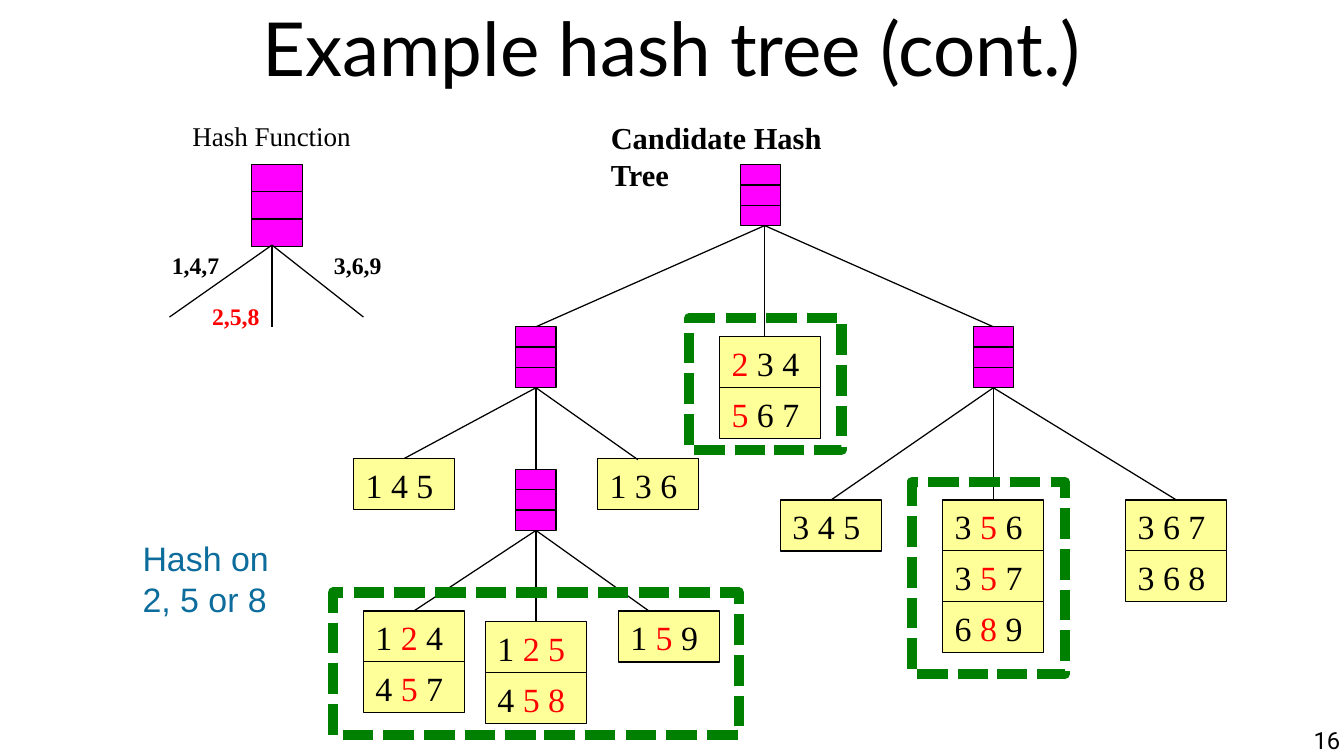
from dataclasses import dataclass

from lxml import etree
from pptx import Presentation
from pptx.dml.color import RGBColor
from pptx.enum import dml, shapes, text
from pptx.oxml.ns import qn
from pptx.util import Inches, Pt


@dataclass(frozen=True)
class Theme:
    ink: str = "000000"
    hot: str = "FF0000"
    node: str = "FF00FF"
    leaf: str = "FFFF99"
    frame: str = "008000"
    note: str = "0C6D9C"
    serif: str = "Times New Roman"
    head: int = 44
    big: int = 20
    sub: int = 18
    mid: int = 16
    small: int = 14
    thin: float = 0.75
    thick: float = 6


@dataclass(frozen=True)
class Box:
    x: float
    y: float
    w: float = 0.33
    h: float = 0.5


@dataclass(frozen=True)
class Leaf:
    x: float
    y: float
    rows: tuple  # digits between bars are highlighted


@dataclass(frozen=True)
class Fan:
    top: str
    x: float
    y: float
    ends: tuple  # (child name, x, y)


@dataclass(frozen=True)
class Label:
    words: str
    box: Box
    size: int
    color: str
    font: str = "Times New Roman"
    bold: bool = False
    wrap: bool = False
    pad: bool = True
    align: text.PP_ALIGN = text.PP_ALIGN.LEFT


T = Theme()
CELL_W, CELL_H, STEP = 0.83, 0.42, 0.415
NEAR = 0.02

NODES = {
    "hash": Box(2.06, 1.35, 0.42, 0.67),
    "root": Box(6.07, 1.35),
    "left": Box(4.23, 2.68),
    "right": Box(7.98, 2.68),
    "deep": Box(4.23, 3.85),
}
LEAVES = {
    "145": Leaf(2.9, 3.76, ("1 4 5",)),
    "136": Leaf(4.9, 3.76, ("1 3 6",)),
    "234": Leaf(5.9, 2.76, ("|2| 3 4", "|5| 6 7")),
    "345": Leaf(6.4, 4.1, ("3 4 5",)),
    "356": Leaf(7.73, 4.1, ("3 |5| 6", "3 |5| 7", "6 |8| 9")),
    "367": Leaf(9.23, 4.1, ("3 6 7", "3 6 8")),
    "124": Leaf(2.98, 5.01, ("1 |2| 4", "4 |5| 7")),
    "125": Leaf(3.98, 5.1, ("1 |2 5|", "4 |5 8|")),
    "159": Leaf(5.07, 5.01, ("1 |5| 9",)),
}
FANS = [
    Fan("root", 6.27, 1.85, (("left", 4.4, 2.69), ("234", 6.27, 2.76), ("right", 8.15, 2.69))),
    Fan("left", 4.38, 3.18, (("145", 3.32, 3.77), ("deep", 4.38, 3.85), ("136", 5.23, 3.77))),
    Fan("right", 8.15, 3.18, (("345", 6.82, 4.1), ("356", 8.15, 4.1), ("367", 9.65, 4.1))),
    Fan("deep", 4.4, 4.35, (("124", 3.4, 5.01), ("125", 4.4, 5.1), ("159", 5.32, 5.01))),
    Fan("hash", 2.23, 2.01, (("", 1.39, 2.6), ("", 2.23, 2.68), ("", 2.98, 2.6))),
]
FRAMES = [Box(2.73, 4.86, 3.33, 1.17), Box(5.65, 2.61, 1.25, 1.08), Box(7.48, 3.95, 1.25, 1.58)]
LABELS = [
    Label("1,4,7", Box(1.31, 2.01, 0.59, 0.33), T.small, T.ink, bold=True),
    Label("2,5,8", Box(1.64, 2.43, 0.59, 0.33), T.small, T.hot, bold=True),
    Label("3,6,9", Box(2.64, 2.01, 0.59, 0.33), T.small, T.ink, bold=True),
    Label("Hash Function", Box(1.48, 0.93, 1.5, 0.37), T.mid, T.ink),
    Label("Candidate Hash Tree", Box(4.91, 0.93, 2.46, 0.4), T.sub, T.ink, bold=True),
    Label("Hash on 2, 5 or 8", Box(1.07, 4.36, 1.25, 0.77), T.big, T.note, "Arial", wrap=True),
    Label("16", Box(8.42, 5.95, 2.57, 0.25), T.small, T.ink, "Roboto",
          wrap=True, pad=False, align=text.PP_ALIGN.RIGHT),
]


def rgb(code: str) -> RGBColor:
    return RGBColor.from_string(code)


def place(box: Box) -> list:
    return [Inches(v) for v in (box.x, box.y, box.w, box.h)]


def inset(frame, side: float, edge: float) -> None:
    frame.margin_left = frame.margin_right = Inches(side)
    frame.margin_top = frame.margin_bottom = Inches(edge)


def add_run(para, words: str, size: int, color: str, font: str, bold: bool = False) -> None:
    run = para.add_run()
    run.text = words
    run.font.size, run.font.name, run.font.bold = Pt(size), font, bold
    run.font.color.rgb = rgb(color)


def add_rect(slide, box: Box, fill: str = "", color: str = T.ink, width: float = T.thin):
    rect = slide.shapes.add_shape(shapes.MSO_SHAPE.RECTANGLE, *place(box))
    rect.shadow.inherit = False
    if fill:
        rect.fill.solid()
        rect.fill.fore_color.rgb = rgb(fill)
    else:
        rect.fill.background()
    rect.line.color.rgb = rgb(color)
    rect.line.width = Pt(width)
    return rect


def add_line(slide, x1: float, y1: float, x2: float, y2: float):
    ends = [Inches(v) for v in (x1, y1, x2, y2)]
    line = slide.shapes.add_connector(shapes.MSO_CONNECTOR.STRAIGHT, *ends)
    line.line.color.rgb = rgb(T.ink)
    line.line.width = Pt(T.thin)
    etree.SubElement(line._element.spPr, qn("a:effectLst"))
    return line


def add_node(slide, box: Box):
    rect = add_rect(slide, box, T.node)
    for i in (1, 2):
        y = box.y + box.h * i / 3
        add_line(slide, box.x, y, box.x + box.w, y)
    return rect


def add_leaf(slide, leaf: Leaf):
    cells = []
    for i, row in enumerate(leaf.rows):
        cell = add_rect(slide, Box(leaf.x, leaf.y + i * STEP, CELL_W, CELL_H), T.leaf)
        frame = cell.text_frame
        inset(frame, 0.1, 0.05)
        frame.vertical_anchor = text.MSO_ANCHOR.TOP
        para = frame.paragraphs[0]
        para.alignment = text.PP_ALIGN.LEFT
        for j, part in enumerate(row.split("|")):
            if part:
                add_run(para, part, T.big, T.hot if j % 2 else T.ink, T.serif)
        cells.append(cell)
    return cells[0]


def meets(rect, x: float) -> bool:
    return abs(rect.left + rect.width / 2 - Inches(x)) < Inches(NEAR)


def add_fan(slide, fan: Fan, parts: dict) -> None:
    for name, x, y in fan.ends:
        line = add_line(slide, fan.x, fan.y, x, y)
        if meets(parts[fan.top], fan.x):
            line.begin_connect(parts[fan.top], 2)
        if name and meets(parts[name], x):
            line.end_connect(parts[name], 0)


def add_label(slide, label: Label) -> None:
    frame = slide.shapes.add_textbox(*place(label.box)).text_frame
    frame.word_wrap = label.wrap
    inset(frame, *((0.1, 0.05) if label.pad else (0, 0)))
    para = frame.paragraphs[0]
    para.alignment = label.align
    add_run(para, label.words, label.size, label.color, label.font, label.bold)


def main() -> None:
    deck = Presentation()
    deck.slide_width, deck.slide_height = Inches(11.02), Inches(6.2)
    slide = deck.slides.add_slide(deck.slide_layouts[5])

    # Title
    title = slide.shapes.title
    title.left, title.top, title.width, title.height = place(Box(0.55, -0.05, 9.92, 0.86))
    frame = title.text_frame
    inset(frame, 0, 0)
    frame.vertical_anchor = text.MSO_ANCHOR.MIDDLE
    frame.paragraphs[0].alignment = text.PP_ALIGN.CENTER
    add_run(frame.paragraphs[0], "Example hash tree (cont.)", T.head, T.ink, "Lato")

    # Tree nodes, leaves and branches
    parts = {name: add_node(slide, box) for name, box in NODES.items()}
    parts.update({name: add_leaf(slide, leaf) for name, leaf in LEAVES.items()})
    for fan in FANS:
        add_fan(slide, fan, parts)

    # Dotted frames and labels
    for box in FRAMES:
        rect = add_rect(slide, box, color=T.frame, width=T.thick)
        rect.line.dash_style = dml.MSO_LINE.SQUARE_DOT
    for label in LABELS:
        add_label(slide, label)

    deck.save("out.pptx")


if __name__ == "__main__":
    main()
